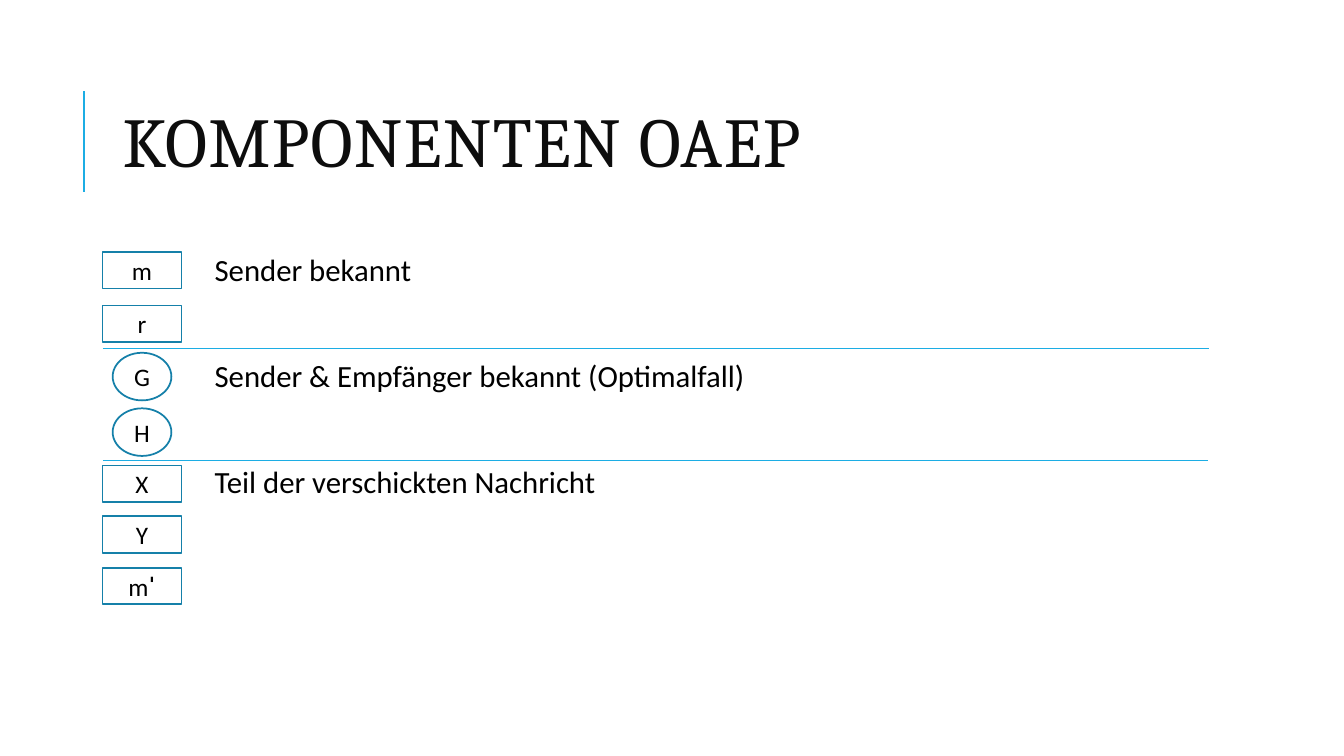
from pptx import Presentation
from pptx import util as u
from pptx.dml.color import RGBColor
from pptx.enum import shapes, text
from pptx.oxml.ns import qn
from lxml import etree

TITLE = "KOMPONENTEN OAEP"
GROUPS = ["Sender bekannt", "Sender & Empfänger bekannt (Optimalfall)",
          "Teil der verschickten Nachricht"]
BOX, CIRCLE = shapes.MSO_SHAPE.RECTANGLE, shapes.MSO_SHAPE.OVAL
SIZES = {BOX: (1.99, 0.92), CIRCLE: (1.48, 1.2)}
SYMBOLS = [
    (BOX, ["m"], 6.81), (BOX, ["r"], 8.16),
    (CIRCLE, ["G"], 9.49), (CIRCLE, ["H"], 10.89),
    (BOX, ["X"], 12.19), (BOX, ["Y"], 13.47), (BOX, ["m", "ˈ"], 14.77),
]
SYMBOL_X = 3.58
ACCENT, OUTLINE, BLACK = "1CADE4", "1580A9", "000000"
LINES = [(2.11, 4.83, 2.11, 2.29, 1.5),
         (2.59, 11.61, 30.45, 11.61, 0.75),
         (2.59, 8.79, 30.48, 8.79, 0.75)]


def color(value):
    return RGBColor.from_string(value)


def write(p, value, size=18, font="Calibri", fill=BLACK, bold=False, spacing=None):
    r = p.add_run()
    r.text = value
    r.font.size, r.font.name, r.font.bold = u.Pt(size), font, bold
    r.font.color.rgb = color(fill)
    if spacing:
        r._r.get_or_add_rPr().set("spc", str(spacing))


def add_line(s, x1, y1, x2, y2, width):
    line = s.shapes.add_connector(shapes.MSO_CONNECTOR.STRAIGHT,
                                  u.Cm(x1), u.Cm(y1), u.Cm(x2), u.Cm(y2))
    line.line.color.rgb = color(ACCENT)
    line.line.width = u.Pt(width)
    etree.SubElement(line._element.spPr, qn("a:effectLst"))


def add_text(s, x, y, w, h, anchor):
    tf = s.shapes.add_textbox(u.Cm(x), u.Cm(y), u.Cm(w), u.Cm(h)).text_frame
    tf.word_wrap = True
    tf.vertical_anchor = anchor
    return tf


def add_symbol(s, kind, parts, center):
    w, h = SIZES[kind]
    sp = s.shapes.add_shape(kind, u.Cm(SYMBOL_X - w / 2), u.Cm(center - h / 2),
                            u.Cm(w), u.Cm(h))
    sp.shadow.inherit = False
    sp.fill.background()
    sp.line.color.rgb = color(OUTLINE)
    sp.line.width = u.Pt(1.25)
    tf = sp.text_frame
    tf.vertical_anchor = text.MSO_ANCHOR.MIDDLE
    p = tf.paragraphs[0]
    p.alignment = text.PP_ALIGN.CENTER
    for i, part in enumerate(parts):
        write(p, part, bold=i > 0)


def main():
    prs = Presentation()
    prs.slide_width, prs.slide_height = u.Cm(33.87), u.Cm(19.05)
    s = prs.slides.add_slide(prs.slide_layouts[6])

    tf = add_text(s, 2.84, 1.63, 27, 4.17, text.MSO_ANCHOR.MIDDLE)
    p = tf.paragraphs[0]
    p.line_spacing = 0.8
    write(p, TITLE, size=50, font="Cambria", fill="0D0D0D", spacing=100)

    tf = add_text(s, 5.28, 6.3, 25.04, 11.18, text.MSO_ANCHOR.TOP)
    tf.margin_left = tf.margin_right = tf.margin_top = tf.margin_bottom = u.Cm(0.13)
    for i, group in enumerate(GROUPS):
        p = tf.add_paragraph() if i else tf.paragraphs[0]
        p.line_spacing = 0.9
        p.space_after = u.Pt(51.7)
        write(p, group, size=22)

    for symbol in SYMBOLS:
        add_symbol(s, *symbol)
    for line in LINES:
        add_line(s, *line)
    prs.save("out.pptx")


if __name__ == "__main__":
    main()
